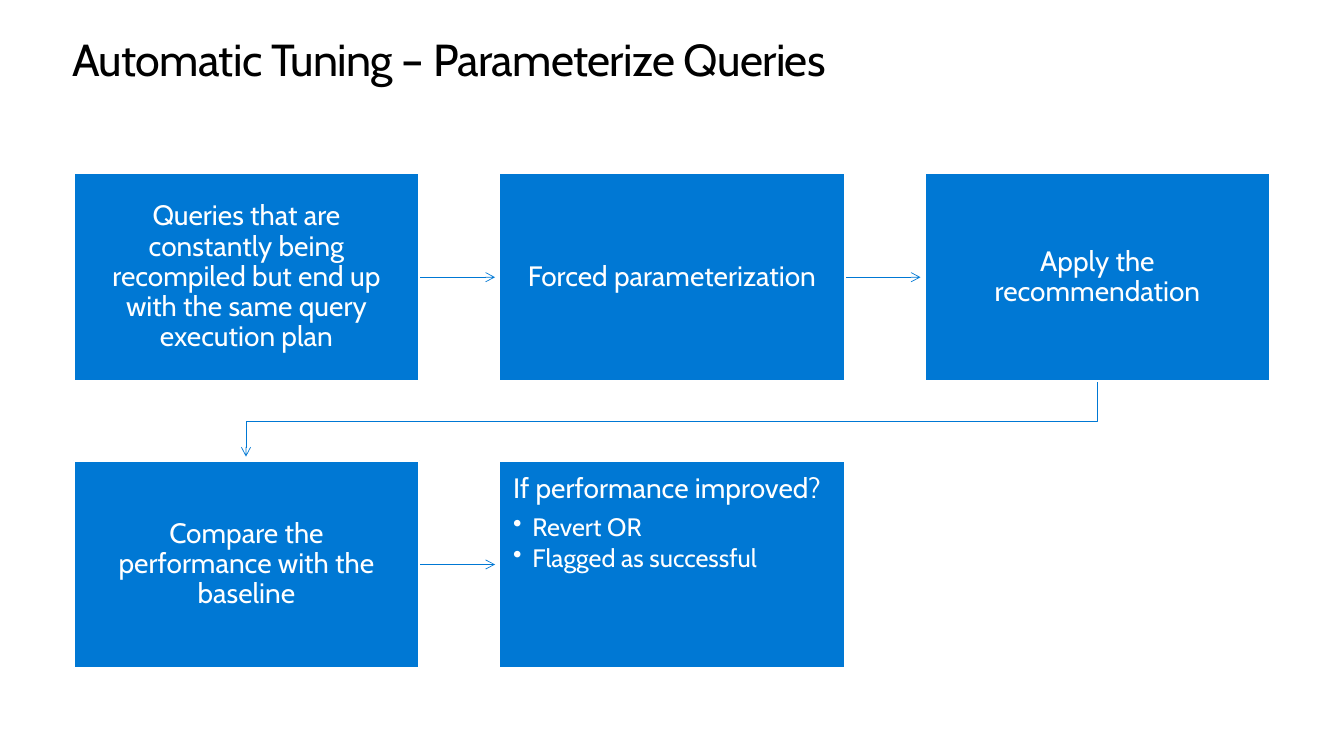
import dataclasses
import typing

import lxml.etree
import pptx
import pptx.dml.color
import pptx.enum.shapes
import pptx.enum.text
import pptx.oxml.ns
import pptx.util

EMU_PER_PX = 9144
FONT = "Cabin"
COLORS = {"blue": "0078D4", "white": "FFFFFF", "black": "000000"}
LEFT, TOP = 73, 172
BOX_WIDTH, BOX_HEIGHT = 343, 206
COLUMN_STEP, ROW_STEP = 422, 285
ARROW_LENGTH = 75
ELBOW_DROP = 40
ALIGN = pptx.enum.text.PP_ALIGN
ANCHOR = pptx.enum.text.MSO_ANCHOR


@dataclasses.dataclass(frozen=True)
class Step:
    column: int
    row: int
    text: str
    bullets: tuple[str, ...] = ()
    arrow: bool = False

    @property
    def left(self) -> int:
        return LEFT + self.column * COLUMN_STEP

    @property
    def top(self) -> int:
        return TOP + self.row * ROW_STEP

    @property
    def center(self) -> int:
        return self.left + BOX_WIDTH // 2


STEPS = (
    Step(0, 0, "Queries that are constantly being recompiled but end up with the same query execution plan", arrow=True),
    Step(1, 0, "Forced parameterization", arrow=True),
    Step(2, 0, "Apply the recommendation"),
    Step(0, 1, "Compare the performance with the baseline", arrow=True),
    Step(1, 1, "If performance improved?", ("Revert OR", "Flagged as successful")),
)


def px(value: int) -> int:
    return value * EMU_PER_PX


def color(name: str) -> pptx.dml.color.RGBColor:
    return pptx.dml.color.RGBColor.from_string(COLORS[name])


def add_element(parent: typing.Any, tag: str, **attributes: str) -> typing.Any:
    return lxml.etree.SubElement(parent, pptx.oxml.ns.qn(tag), **attributes)


def set_frame(frame: typing.Any, margin: int, anchor: typing.Any) -> None:
    frame.word_wrap = True
    frame.margin_left = frame.margin_right = px(margin)
    frame.margin_top = frame.margin_bottom = px(margin)
    frame.vertical_anchor = anchor


def write_text(paragraph: typing.Any, text: str, *, size: int, color_name: str = "white",
               align: typing.Any = ALIGN.LEFT, line_spacing: typing.Any = 0.9,
               space_after: float = 0, bullet: bool = False, tracking: int = 0) -> None:
    if bullet:
        properties = paragraph._p.get_or_add_pPr()
        properties.set("marL", str(px(19)))
        properties.set("indent", str(px(-19)))
        add_element(properties, "a:buChar", char="•")
        paragraph.level = 1
    paragraph.alignment = align
    paragraph.line_spacing = line_spacing
    paragraph.space_after = pptx.util.Pt(space_after)
    run = paragraph.add_run()
    run.text = text
    run.font.name = FONT
    run.font.size = pptx.util.Pt(size)
    run.font.color.rgb = color(color_name)
    if tracking:
        run.font._element.set("spc", str(tracking))


def style_arrow(shape: typing.Any) -> None:
    shape.line.color.rgb = color("blue")
    shape.line.width = pptx.util.Pt(0.5)
    add_element(shape.line._get_or_add_ln(), "a:tailEnd", type="arrow")
    add_element(shape._element.spPr, "a:effectLst")


def draw_title(slide: typing.Any, text: str) -> None:
    shape = slide.shapes.add_textbox(px(72), px(35), px(1190), px(50))
    set_frame(shape.text_frame, 0, ANCHOR.TOP)
    write_text(shape.text_frame.paragraphs[0], text, size=32, color_name="black",
               line_spacing=pptx.util.Pt(36.2), tracking=-50)


def draw_arrow(slide: typing.Any, step: Step) -> None:
    start = step.left + BOX_WIDTH
    middle = step.top + BOX_HEIGHT // 2
    style_arrow(slide.shapes.add_connector(
        pptx.enum.shapes.MSO_CONNECTOR.STRAIGHT,
        px(start), px(middle), px(start + ARROW_LENGTH), px(middle)))


def draw_elbow(slide: typing.Any, source: Step, target: Step) -> None:
    start = source.top + BOX_HEIGHT
    turn = start + ELBOW_DROP
    builder = slide.shapes.build_freeform(px(source.center), px(start))
    corners = ((source.center, turn), (target.center, turn), (target.center, target.top - 4))
    builder.add_line_segments([(px(x), px(y)) for x, y in corners], close=False)
    shape = builder.convert_to_shape()
    shape.fill.background()
    style_arrow(shape)


def draw_step(slide: typing.Any, step: Step) -> None:
    shape = slide.shapes.add_shape(
        pptx.enum.shapes.MSO_SHAPE.RECTANGLE,
        px(step.left), px(step.top), px(BOX_WIDTH), px(BOX_HEIGHT))
    shape.shadow.inherit = False
    shape.fill.solid()
    shape.fill.fore_color.rgb = color("blue")
    shape.line.color.rgb = color("white")
    shape.line.width = pptx.util.Pt(1.5)
    frame = shape.text_frame
    has_list = bool(step.bullets)
    set_frame(frame, 14 if has_list else 16, ANCHOR.TOP if has_list else ANCHOR.MIDDLE)
    write_text(frame.paragraphs[0], step.text, size=20, space_after=7,
               align=ALIGN.LEFT if has_list else ALIGN.CENTER)
    for bullet in step.bullets:
        write_text(frame.add_paragraph(), bullet, size=18, space_after=2.7, bullet=True)


def main() -> None:
    presentation = pptx.Presentation()
    presentation.slide_width = px(1333)
    presentation.slide_height = px(750)
    slide = presentation.slides.add_slide(presentation.slide_layouts[6])
    draw_title(slide, "Automatic Tuning – Parameterize Queries")
    for step in STEPS:
        if step.arrow:
            draw_arrow(slide, step)
    draw_elbow(slide, STEPS[2], STEPS[3])
    for step in STEPS:
        draw_step(slide, step)
    presentation.save("out.pptx")


if __name__ == "__main__":
    main()
